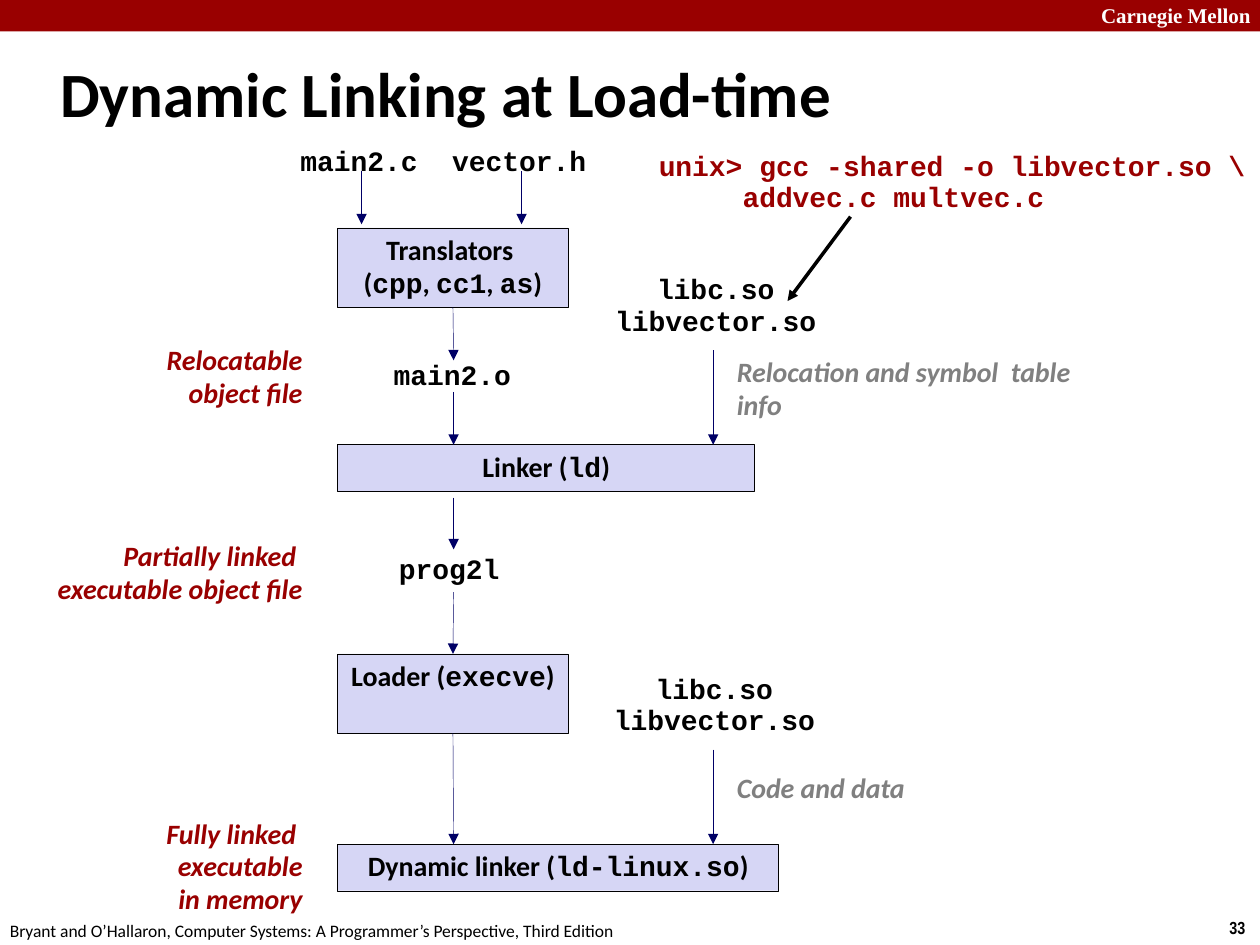
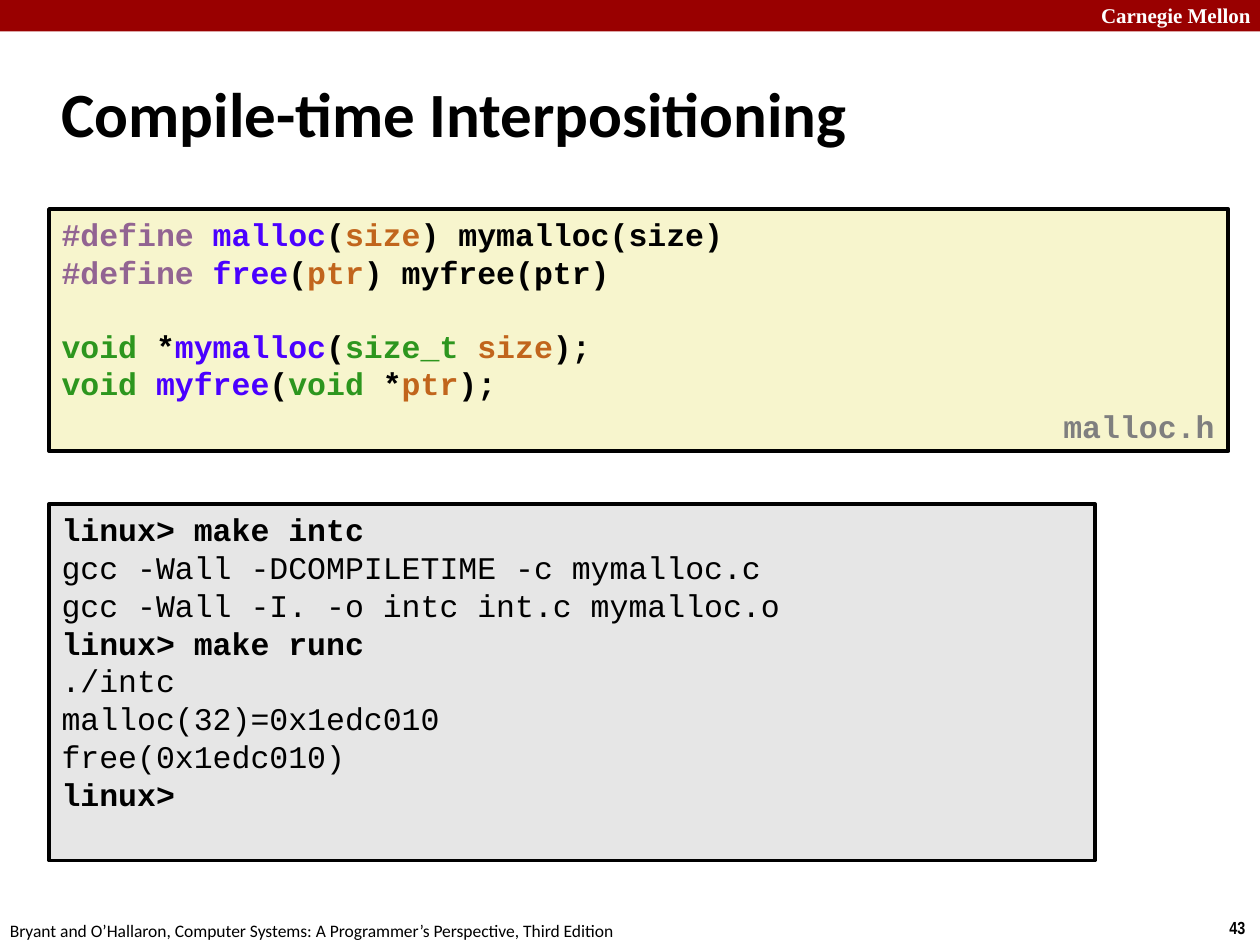
import pptx
import pptx.dml.color
import pptx.enum.shapes
import pptx.enum.text
import pptx.oxml.ns
import pptx.util
from lxml import etree

Inches = pptx.util.Inches
Pt = pptx.util.Pt
ALIGN = pptx.enum.text.PP_ALIGN

COLORS = {
    "red": "990000", "white": "FFFFFF", "black": "000000", "navy": "000066",
    "lavender": "D6D6F5", "cream": "F7F5CD", "silver": "E6E6E6",
    "gray": "808080", "file_gray": "7F7F7F",
    "directive": "926492", "function": "4A00FF", "variable": "C1651C", "type": "2D961E",
}
SANS = "Calibri"
MONO = "Courier New"

# Named text styles
LABEL = {"name": SANS, "size": Pt(16), "bold": True}
FILE = {**LABEL, "name": MONO}
CODE = {**FILE, "size": Pt(18)}
STAGE_NOTE = {**LABEL, "italic": True, "color": "red"}
INPUT_NOTE = {**STAGE_NOTE, "color": "gray"}
TITLE = {**LABEL, "size": Pt(36)}
HEADER = {"name": "Times New Roman", "size": Pt(12), "bold": True, "color": "white"}
FOOTER = {"name": SANS, "size": Pt(10)}
NUMBER = {**FOOTER, "name": "Arial Narrow", "bold": True}

# Overrides for single spans
IN_MONO = {"name": MONO}
PLAIN = {"bold": False}


def rgb(name):
    return pptx.dml.color.RGBColor.from_string(COLORS[name])


class SlideMaker:
    """Holds the deck, its shared style and the current page."""

    def __init__(self):
        self.deck = pptx.Presentation()
        self.deck.slide_width = Inches(10)
        self.deck.slide_height = Inches(7.5)
        self.page = None

    def new_page(self, title, number, title_place):
        self.page = self.deck.slides.add_slide(self.deck.slide_layouts[6])
        self.rectangle((0, 0, 10, 0.25), "red")
        self.text((8.64, -0.03, 1.43, 0.3), ["Carnegie Mellon"], HEADER)
        self.text((9.66, 7.23, 0.34, 0.27), [str(number)], NUMBER, wrap=False)
        self.text((-0.02, 7.25, 5.08, 0.27),
                  ["Bryant and O’Hallaron, Computer Systems: "
                   "A Programmer’s Perspective, Third Edition"], FOOTER, wrap=False)
        box = self.text(title_place, [title], TITLE)
        box.text_frame.auto_size = pptx.enum.text.MSO_AUTO_SIZE.NONE
        box.text_frame.vertical_anchor = pptx.enum.text.MSO_ANCHOR.MIDDLE

    def fill_text(self, box, lines, style, align=ALIGN.LEFT, spacing=1.0, wrap=True):
        """Each line is a string or a list of (text, overrides) spans."""
        frame_format = {
            "word_wrap": wrap,
            "auto_size": pptx.enum.text.MSO_AUTO_SIZE.SHAPE_TO_FIT_TEXT,
            "vertical_anchor": pptx.enum.text.MSO_ANCHOR.TOP,
        }
        for name, value in frame_format.items():
            setattr(box.text_frame, name, value)
        for index, line in enumerate(lines):
            para = box.text_frame.paragraphs[0] if index == 0 else box.text_frame.add_paragraph()
            para.alignment = align
            para.line_spacing = spacing
            for text, overrides in [(line, {})] if isinstance(line, str) else line:
                span = para.add_run()
                span.text = text
                for name, value in {"color": "black", **style, **overrides}.items():
                    if name == "color":
                        span.font.color.rgb = rgb(value)
                    else:
                        setattr(span.font, name, value)

    def text(self, place, lines, style, **layout):
        box = self.page.shapes.add_textbox(*map(Inches, place))
        self.fill_text(box, lines, style, **layout)
        return box

    def rectangle(self, place, fill, border=None):
        box = self.page.shapes.add_shape(
            pptx.enum.shapes.MSO_SHAPE.RECTANGLE, *map(Inches, place))
        box.shadow.inherit = False
        box.fill.solid()
        box.fill.fore_color.rgb = rgb(fill)
        if border:
            box.line.color.rgb = rgb("black")
            box.line.width = Pt(border)
        else:
            box.line.fill.background()
        return box

    def step(self, place, lines):
        box = self.rectangle(place, "lavender", 0.25)
        self.fill_text(box, lines, LABEL, align=ALIGN.CENTER, spacing=0.98)
        return box

    def files(self, place, names):
        self.text(place, names, FILE, align=ALIGN.CENTER, spacing=0.94, wrap=False)

    def code(self, place, fill, lines):
        box = self.rectangle(place, fill, 2.25)
        self.fill_text(box, lines, CODE)
        return box

    def arrow(self, start, end, color="navy", width=0.25, source=None, target=None):
        line = self.page.shapes.add_connector(
            pptx.enum.shapes.MSO_CONNECTOR.STRAIGHT, *map(Inches, start + end))
        if source is not None:
            line.begin_connect(source, 2)
        if target is not None:
            line.end_connect(target, 0)
        line.line.color.rgb = rgb(color)
        line.line.width = Pt(width)
        qn = pptx.oxml.ns.qn
        properties = line.element.spPr
        etree.SubElement(properties.find(qn("a:ln")), qn("a:tailEnd"), type="triangle")
        etree.SubElement(properties, qn("a:effectLst"))


def build_load_time(maker):
    maker.new_page("Dynamic Linking at Load-time", 33, (0.38, 0.31, 9.53, 0.85))

    # Steps
    left, main_x, library_x = 2.68, 3.6, 5.66
    translators = maker.step((left, 1.81, 1.83, 0.63), [
        "Translators ",
        [("(", {}), ("cpp", IN_MONO), (", ", {}), ("cc1", IN_MONO), (", ", {}),
         ("as", IN_MONO), (")", {})]])
    maker.step((left, 3.53, 3.31, 0.37), [[("Linker (", {}), ("ld", IN_MONO), (")", {})]])
    loader = maker.step((left, 5.19, 1.83, 0.63),
                        [[("Loader (", {}), ("execve", IN_MONO), (")", {})]])
    maker.step((left, 6.7, 3.5, 0.37),
               [[("Dynamic linker (", {}), ("ld-linux.so", IN_MONO), (")", {})]])

    # Files between the steps
    libraries = ["libc.so", "libvector.so"]
    for place, names in [
        ((2.28, 1.11, 1.14, 0.36), ["main2.c"]),
        ((3.48, 1.11, 1.28, 0.36), ["vector.h"]),
        ((3.02, 2.81, 1.14, 0.36), ["main2.o"]),
        ((3.06, 4.35, 1.01, 0.36), ["prog2l"]),
        ((4.77, 2.13, 1.82, 0.61), libraries),
        ((4.76, 5.3, 1.82, 0.61), libraries),
    ]:
        maker.files(place, names)

    # Notes on each stage
    for place, lines in [
        ((1, 2.68, 1.5, 0.63), ["Relocatable", "object file"]),
        ((-0.25, 4.24, 2.75, 0.63), ["Partially linked ", "executable object file"]),
        ((0.58, 6.44, 1.92, 0.89), ["Fully linked ", "executable", "in memory"]),
    ]:
        maker.text(place, lines, STAGE_NOTE, align=ALIGN.RIGHT, spacing=0.98)
    for place, note in [
        ((5.75, 2.78, 2.85, 0.63), "Relocation and symbol  table info"),
        ((5.75, 6.08, 1.94, 0.37), "Code and data"),
    ]:
        maker.text(place, [note], INPUT_NOTE, spacing=0.98)

    # Flow
    for x, top, bottom in [
        (2.87, 1.36, 1.78), (4.14, 1.36, 1.78),
        (main_x, 3.11, 3.53), (main_x, 3.95, 4.36),
        (library_x, 2.78, 3.53), (library_x, 5.95, 6.7),
    ]:
        maker.arrow((x, top), (x, bottom))
    maker.arrow((main_x, 2.44), (main_x, 2.86), source=translators)
    maker.arrow((main_x, 4.7), (main_x, 5.19), target=loader)
    maker.arrow((main_x, 5.82), (main_x, 6.7), source=loader)

    # Command that makes the shared library
    maker.text((5.13, 1.15, 4.92, 0.61),
               ["unix> gcc -shared -o libvector.so \\", "     addvec.c multvec.c"],
               {**FILE, "color": "red"}, spacing=0.94, wrap=False)
    maker.arrow((6.75, 1.72), (6.25, 2.39), "black", 2)


def build_compile_time(maker):
    maker.new_page("Compile-time Interpositioning", 43, (0.39, 0.48, 8.3, 0.83))
    directive, function, variable, kind = (
        {"color": name} for name in ("directive", "function", "variable", "type"))

    # Header file
    header = maker.code((0.39, 1.66, 9.36, 1.92), "cream", [
        [("#define ", directive), ("malloc", function), ("(", {}), ("size", variable),
         (") mymalloc(size)", {})],
        [("#define ", directive), ("free", function), ("(", {}), ("ptr", variable),
         (") myfree(ptr)", {})],
        [("void", kind), (" *", {}), ("mymalloc", function), ("(", {}), ("size_t ", kind),
         ("size", variable), (");", {})],
        [("void ", kind), ("myfree", function), ("(", {}), ("void", kind), (" *", {}),
         ("ptr", variable), (");", {})],
    ])
    header.text_frame.paragraphs[2].space_before = Pt(20.4)
    maker.text((8.34, 3.18, 1.41, 0.4), ["malloc.h"], {**CODE, "color": "file_gray"}, wrap=False)

    # Terminal session
    maker.code((0.39, 4, 8.3, 2.83), "silver", [
        "linux> make intc",
        [("gcc -Wall -DCOMPILETIME -c mymalloc.c", PLAIN)],
        [("gcc -Wall -I. -o intc int.c mymalloc.o", PLAIN)],
        "linux> make runc",
        [("./intc", PLAIN)],
        [("malloc(32)=0x1edc010", PLAIN)],
        [("free(0x1edc010)", PLAIN)],
        "linux>",
    ])


def main():
    maker = SlideMaker()
    build_load_time(maker)
    build_compile_time(maker)
    maker.deck.save("out.pptx")


if __name__ == "__main__":
    main()
